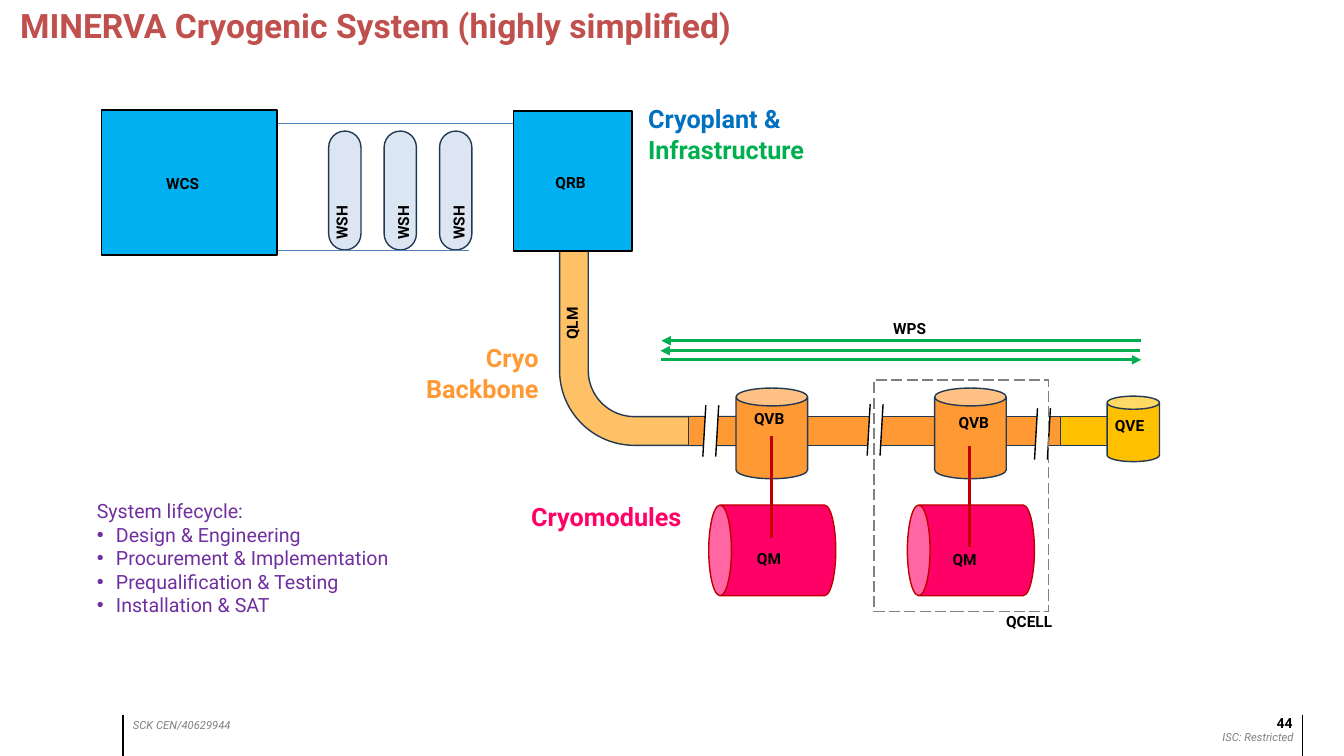
from dataclasses import dataclass
from lxml.etree import SubElement
from pptx import Presentation
from pptx.dml.color import RGBColor
from pptx.enum.dml import MSO_LINE as Dash
from pptx.enum.shapes import MSO_CONNECTOR as Link, MSO_SHAPE as Kind
from pptx.enum.text import MSO_ANCHOR as Anchor, MSO_AUTO_SIZE as Fit, PP_ALIGN as Align
from pptx.oxml.ns import qn
from pptx.util import Inches, Pt


@dataclass(frozen=True)
class Theme:
    font: str = "Roboto"
    title: int = 24
    head: int = 18
    body: int = 14
    label: int = 11
    page: int = 10
    foot: int = 8
    black: str = "000000"
    white: str = "FFFFFF"
    gray: str = "808080"
    navy: str = "233953"
    red: str = "C0504D"
    dark: str = "C00000"
    plant: str = "00B0F0"
    pale: str = "DCE6F2"
    steel: str = "4F81BD"
    blue: str = "0070C0"
    green: str = "00B050"
    sand: str = "FFC165"
    orange: str = "FF9933"
    gold: str = "FFC000"
    pink: str = "FF0066"
    purple: str = "7030A0"


T = Theme()

# Content
TITLE = "MINERVA Cryogenic System (highly simplified)"
CYCLE = ["System lifecycle:", "Design & Engineering", "Procurement & Implementation",
         "Prequalification & Testing", "Installation & SAT"]
# text, left, top, width, rotation
LABELS = [
    ("QVB", 7.38, 4.01, 0.52, 0), ("QVB", 9.41, 4.05, 0.52, 0),
    ("QVE", 10.96, 4.08, 0.51, 0), ("QLM", 5.4, 3.05, 0.55, 270),
    ("QRB", 5.41, 1.67, 0.52, 0), ("WCS", 1.55, 1.68, 0.54, 0),
    ("WSH", 3.11, 2.05, 0.56, 270), ("WSH", 3.72, 2.05, 0.56, 270),
    ("WSH", 4.27, 2.05, 0.56, 270), ("QM", 7.41, 5.4, 0.47, 0),
    ("QM", 9.35, 5.41, 0.47, 0), ("QCELL", 9.88, 6.02, 0.66, 0),
    ("WPS", 8.76, 3.12, 0.54, 0),
]
# runs, box, alignment, wrap
HEADS = [
    ([("Cryoplant & ", T.blue), ("Infrastructure", T.green)],
     (6.33, 0.98, 2.11, 0.71), Align.LEFT, True),
    ([("Cryo Backbone", T.orange)], (3.87, 3.35, 1.57, 0.71), Align.RIGHT, True),
    ([("Cryomodules", T.pink)], (5.17, 4.92, 1.77, 0.4), Align.LEFT, False),
]
FEET = [("ISC: Restricted", (11.11, 7.2, 1.82, 0.24), Align.RIGHT),
        ("SCK CEN/40629944", (1.22, 7.08, 1.57, 0.24), Align.LEFT)]
BREAKS = [(6.97, 4.0), (8.6, 3.99), (10.26, 4.03)]
FLOWS = [(11.32, 6.56, 3.38), (11.31, 6.55, 3.48), (6.56, 11.32, 3.57)]

deck = Presentation()
deck.slide_width, deck.slide_height = Inches(13.33), Inches(7.5)
slide = deck.slides.add_slide(deck.slide_layouts[1])
shapes = slide.shapes


def color(code):
    return RGBColor.from_string(code)


def place(item, box):
    item.left, item.top, item.width, item.height = map(Inches, box)


def write(para, text, size, code, bold=False, italic=False):
    run = para.add_run()
    run.text = text
    font = run.font
    font.name, font.size = T.font, Pt(size)
    font.bold, font.italic = bold, italic
    font.color.rgb = color(code)


def text_box(box, runs, size, align=Align.LEFT, wrap=True, turn=0, bold=True, italic=False):
    item = shapes.add_textbox(*map(Inches, box))
    item.rotation = turn
    frame = item.text_frame
    frame.word_wrap = wrap
    para = frame.paragraphs[0]
    para.alignment = align
    for text, code in runs:
        write(para, text, size, code, bold, italic)
    return frame


def draw(kind, box, fill=None, line=T.navy, turn=0, adj=()):
    item = shapes.add_shape(kind, *map(Inches, box))
    item.shadow.inherit = False
    item.rotation = turn
    for i, value in enumerate(adj):
        item.adjustments[i] = value
    if fill:
        item.fill.solid()
        item.fill.fore_color.rgb = color(fill)
    else:
        item.fill.background()
    if line:
        item.line.color.rgb = color(line)
        item.line.width = Pt(1)
    else:
        item.line.fill.background()
    return item


def rule(x1, y1, x2, y2, code, width, arrow=False):
    item = shapes.add_connector(Link.STRAIGHT, *map(Inches, (x1, y1, x2, y2)))
    item.line.color.rgb = color(code)
    item.line.width = Pt(width)
    if arrow:
        SubElement(item.line._get_or_add_ln(), qn("a:tailEnd"), type="triangle")
    SubElement(item._element.spPr, qn("a:effectLst"))


# Title
head = shapes.title
place(head, (0, 0, 12.72, 0.51))
frame = head.text_frame
frame.auto_size, frame.vertical_anchor = Fit.NONE, Anchor.TOP
frame.margin_left = Inches(0.2)
frame.paragraphs[0].alignment = Align.LEFT
write(frame.paragraphs[0], TITLE, T.title, T.red, bold=True)

# Lifecycle list
body = slide.placeholders[1]
place(body, (0.86, 4.9, 3.27, 1.28))
frame = body.text_frame
frame.auto_size = Fit.NONE
for i, text in enumerate(CYCLE):
    para = frame.add_paragraph() if i else frame.paragraphs[0]
    props = para._p.get_or_add_pPr()
    step = Inches(0.19) if i else 0
    props.set("marL", str(step))
    props.set("indent", str(-step))
    if i:
        SubElement(props, qn("a:buChar"), char="•")
    else:
        SubElement(props, qn("a:buNone"))
    para.space_before = Pt(0)
    write(para, text, T.body, T.purple)

# Footer
for text, box, align in FEET:
    text_box(box, [(text, T.gray)], T.foot, align, bold=False, italic=True)
for x in (1.22, 12.92):
    rule(x, 7.09, x, 7.53, T.black, 1)
frame = text_box((9.82, 7.09, 3, 0.25), [("44", T.black)], T.page, Align.RIGHT)
frame.margin_left = frame.margin_right = frame.margin_top = frame.margin_bottom = 0

# Backbone pipe and valve boxes
bend = draw(Kind.BENT_ARROW, (5.55, 2.39, 2.05, 2.15), T.sand,
            adj=(0.139, 0.129, 0.057, 0.362))
bend._element.spPr.xfrm.set("flipV", "1")
draw(Kind.RECTANGLE, (6.83, 4.13, 3.69, 0.29), T.orange)
draw(Kind.RECTANGLE, (10.52, 4.13, 0.88, 0.29), T.gold)
draw(Kind.CAN, (10.98, 3.93, 0.52, 0.65), T.gold)

# Cryomodules
for x, y in ((7.3, 4.33), (9.27, 4.42)):
    draw(Kind.CAN, (x, 3.85, 0.71, 0.9), T.orange)
    draw(Kind.CAN, (x - 0.09, 4.83, 0.9, 1.26), T.pink, T.dark, 270)
    rule(x + 0.35, y, x + 0.35, y + 1.01, T.dark, 2.25)

# Cryoplant
for i in range(3):
    draw(Kind.ROUNDED_RECTANGLE, (2.83 + 0.55 * i, 1.73, 1.18, 0.32), T.pale,
         turn=270, adj=(0.5,))
rule(2.75, 2.48, 4.65, 2.48, T.steel, 0.5)
rule(2.69, 1.22, 5.17, 1.22, T.steel, 0.5)
draw(Kind.RECTANGLE, (1.01, 1.09, 1.74, 1.44), T.plant, T.black)
draw(Kind.RECTANGLE, (5.09, 1.1, 1.18, 1.39), T.plant, T.black)

# Pipe breaks, with white caps over both ends
for x, y in BREAKS:
    draw(Kind.FLOWCHART_DATA, (x, y, 0.16, 0.55), T.white, T.black)
    for dx, dy in ((0.01, -0.06), (-0.01, 0.53)):
        draw(Kind.RECTANGLE, (x + dx, y + dy, 0.16, 0.08), T.white, None)

# Flow arrows and cell frame
for start, end, y in FLOWS:
    rule(start, y, end, y, T.green, 2.25, arrow=True)
cell = draw(Kind.RECTANGLE, (8.67, 3.77, 1.73, 2.3), line=T.gray)
cell.line.dash_style = Dash.LONG_DASH

# Labels and headings
for text, x, y, width, turn in LABELS:
    text_box((x, y, width, 0.29), [(text, T.black)], T.label, wrap=False, turn=turn)
for runs, box, align, wrap in HEADS:
    text_box(box, runs, T.head, align, wrap)

deck.save("out.pptx")
